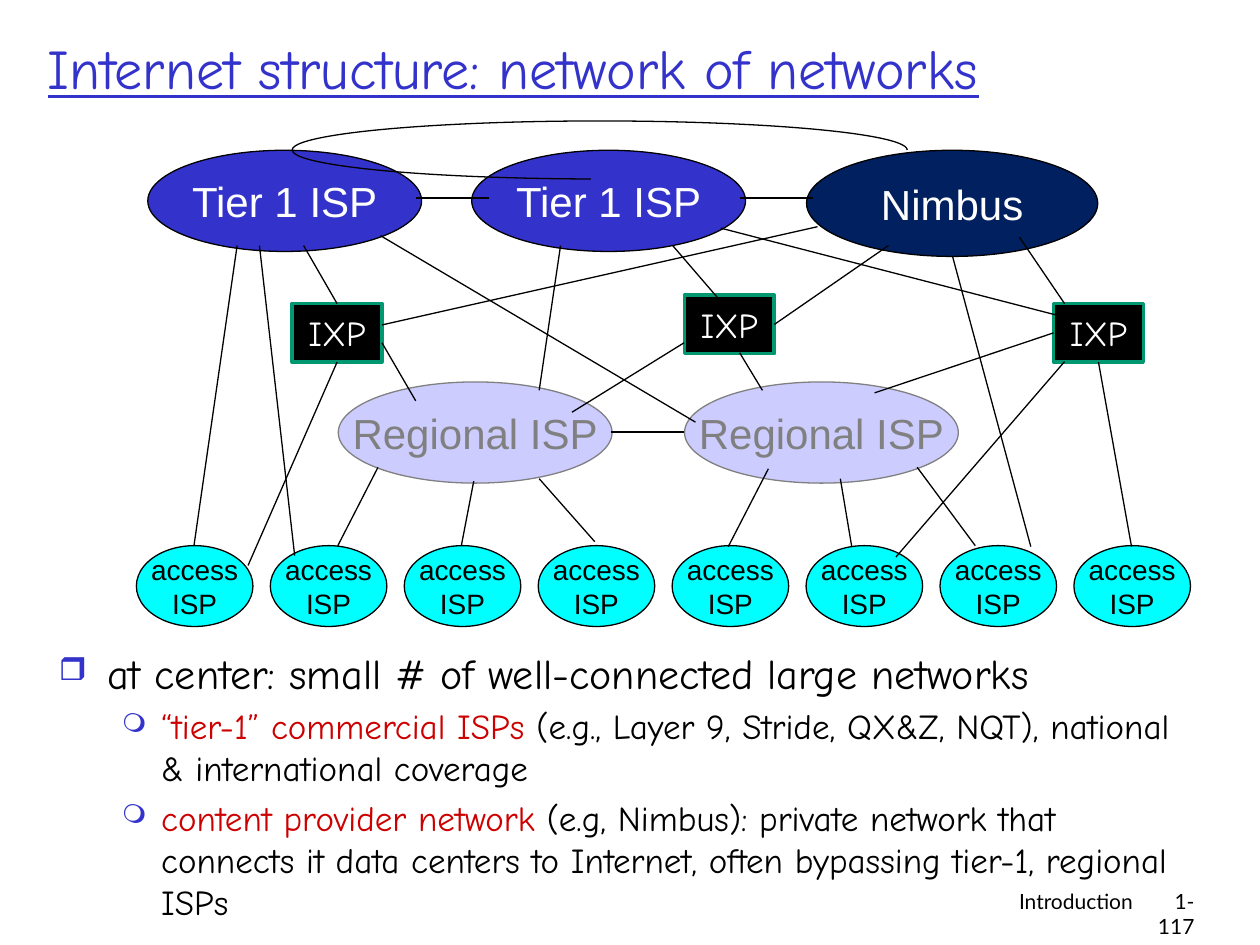
from typing import NamedTuple, Optional

from lxml import etree
from pptx import Presentation
from pptx.dml.color import RGBColor
from pptx.enum.shapes import MSO_CONNECTOR, MSO_SHAPE
from pptx.enum.text import MSO_ANCHOR, PP_ALIGN
from pptx.oxml.ns import qn
from pptx.util import Cm, Pt

OVAL, RECT, ARC = MSO_SHAPE.OVAL, MSO_SHAPE.RECTANGLE, MSO_SHAPE.ARC
STRAIGHT = MSO_CONNECTOR.STRAIGHT
MIDDLE, TOP_ANCHOR = MSO_ANCHOR.MIDDLE, MSO_ANCHOR.TOP
LEFT_ALIGN, CENTER, RIGHT_ALIGN = PP_ALIGN.LEFT, PP_ALIGN.CENTER, PP_ALIGN.RIGHT
TOP, LEFT, BOTTOM, RIGHT = range(4)
SANS, HAND, FOOT = "Arial", "Comic Neue", "Lato"

COLORS = {
    "black": "000000", "white": "FFFFFF", "blue": "3333CC", "navy": "002060",
    "cyan": "00FFFF", "lilac": "CCCCFF", "gray": "808080", "green": "009771",
    "red": "CC0000",
}


class Style(NamedTuple):
    shape: int
    width: float
    height: float
    fill: str
    line: str
    color: str
    size: int
    font: str = SANS
    weight: float = 0.75


class Node(NamedTuple):
    name: str
    text: str
    x: float
    y: float
    style: Style


class Link(NamedTuple):
    x1: float
    y1: float
    x2: float
    y2: float
    begin: Optional[tuple] = None
    end: Optional[tuple] = None


class Bullet(NamedTuple):
    mark: str
    margin: float
    hanging: float
    size: int
    before: float
    phrases: tuple


ACCESS = Style(OVAL, 2.35, 1.63, "cyan", "black", "black", 16)
REGIONAL = Style(OVAL, 5.52, 2.04, "lilac", "gray", "gray", 24)
TIER1 = Style(OVAL, 5.52, 2.04, "blue", "black", "white", 24)
PROVIDER = Style(OVAL, 5.87, 2.14, "navy", "black", "white", 24)
IXP = Style(RECT, 1.81, 1.18, "black", "green", "white", 20, HAND, 2)

NODES = [Node(f"access{i}", "access\nISP", 2.75 + 2.7 * i, 11, ACCESS) for i in range(8)] + [
    Node("regional0", "Regional ISP", 6.82, 7.7, REGIONAL),
    Node("regional1", "Regional ISP", 13.8, 7.7, REGIONAL),
    Node("ixp0", "IXP", 5.89, 6.12, IXP),
    Node("ixp1", "IXP", 13.8, 5.95, IXP),
    Node("ixp2", "IXP", 21.24, 6.12, IXP),
    Node("tier0", "Tier 1 ISP", 2.98, 3.03, TIER1),
    Node("tier1", "Tier 1 ISP", 9.51, 3.03, TIER1),
    Node("provider", "Nimbus", 16.26, 3.03, PROVIDER),
]

LINKS = [
    # Between networks of the same kind
    Link(9.86, 3.99, 8.38, 3.99),
    Link(16.38, 3.99, 14.91, 3.99),
    Link(13.79, 8.71, 12.32, 8.71),
    # From the top row to access networks
    Link(4.78, 4.95, 3.91, 11),
    Link(5.23, 4.95, 5.94, 11.2),
    Link(19.2, 5.16, 20.78, 11.02),
    # From the top row to regional networks
    Link(11.3, 4.95, 10.87, 7.87),
    Link(7.67, 4.75, 14.02, 8.51),
    # From the top row to exchange points
    Link(6.12, 4.95, 6.81, 6.12, end=("ixp0", TOP)),
    Link(16.48, 4.57, 7.7, 6.55),
    Link(13.56, 4.95, 14.68, 6.25),
    Link(17.91, 4.95, 15.6, 6.53, end=("ixp1", RIGHT)),
    Link(14.53, 4.6, 21.29, 6.35),
    Link(20.55, 4.78, 21.46, 6.12),
    # From exchange points downwards
    Link(6.81, 7.29, 5, 11.4, begin=("ixp0", BOTTOM)),
    Link(7.7, 6.91, 8.38, 8.08),
    Link(13.79, 6.91, 11.53, 8.31),
    Link(14.91, 7.11, 15.37, 7.87),
    Link(21.23, 6.71, 17.63, 7.92, begin=("ixp2", LEFT)),
    Link(21.46, 7.29, 18.06, 11.23),
    Link(22.12, 7.29, 22.81, 11.02, begin=("ixp2", BOTTOM)),
    # From regional to access networks
    Link(7.62, 9.42, 6.81, 11),
    Link(9.55, 9.7, 9.3, 11),
    Link(10.87, 9.65, 11.99, 10.92),
    Link(15.49, 9.45, 14.68, 11.02),
    Link(16.94, 9.65, 17.17, 11.02),
    Link(18.49, 9.42, 19.66, 11),
]

BULLETS = [
    Bullet("❒", 0.97, 0.97, 24, 0, (
        ("at center: small # of well-connected large networks", "black"),)),
    Bullet("❍", 2.06, 0.79, 20, 4, (
        ("“tier-1” commercial ISPs ", "red"),
        ("(e.g., Layer 9, Stride, QX&Z, NQT), national & international coverage", "black"))),
    Bullet("❍", 2.06, 0.79, 20, 4, (
        ("content provider network ", "red"),
        ("(e.g, Nimbus): private network that connects it data centers to Internet, "
         "often bypassing tier-1, regional ISPs", "black"))),
]


def rgb(name: str) -> RGBColor:
    return RGBColor.from_string(COLORS[name])


def add_text(p, text: str, *, size: int, font: str, color: str = "black",
             underline: bool = False, align: int = LEFT_ALIGN) -> None:
    p.alignment = align
    r = p.add_run()
    r.text = text
    r.font.size, r.font.name = Pt(size), font
    r.font.color.rgb = rgb(color)
    if underline:
        r.font.underline = True


def add_box(s, x: float, y: float, w: float, h: float, anchor: int = TOP_ANCHOR):
    tf = s.shapes.add_textbox(Cm(x), Cm(y), Cm(w), Cm(h)).text_frame
    tf.word_wrap = True
    tf.vertical_anchor = anchor
    return tf


def add_node(s, node: Node):
    st = node.style
    sp = s.shapes.add_shape(st.shape, Cm(node.x), Cm(node.y), Cm(st.width), Cm(st.height))
    sp.shadow.inherit = False
    sp.fill.solid()
    sp.fill.fore_color.rgb = rgb(st.fill)
    sp.line.color.rgb = rgb(st.line)
    sp.line.width = Pt(st.weight)
    tf = sp.text_frame
    tf.word_wrap = st.shape == RECT
    tf.vertical_anchor = MIDDLE
    for i, text in enumerate(node.text.split("\n")):
        p = tf.add_paragraph() if i else tf.paragraphs[0]
        add_text(p, text, size=st.size, font=st.font, color=st.color, align=CENTER)
    return sp


def add_link(s, link: Link, shapes: dict) -> None:
    c = s.shapes.add_connector(STRAIGHT, Cm(link.x1), Cm(link.y1), Cm(link.x2), Cm(link.y2))
    if link.begin:
        c.begin_connect(shapes[link.begin[0]], link.begin[1])
    if link.end:
        c.end_connect(shapes[link.end[0]], link.end[1])
    c.line.color.rgb = rgb("black")
    c.line.width = Pt(0.75)
    etree.SubElement(c._element.spPr, qn("a:effectLst"))


def add_arc(s) -> None:
    sp = s.shapes.add_shape(ARC, Cm(5.89), Cm(2.44), Cm(12.4), Cm(1.17))
    sp.adjustments[0], sp.adjustments[1] = 64.09, 0
    sp.shadow.inherit = False
    sp.fill.background()
    sp.line.color.rgb = rgb("black")
    sp.line.width = Pt(0.75)


def add_bullet(p, b: Bullet) -> None:
    pPr = p._p.get_or_add_pPr()
    pPr.set("marL", str(Cm(b.margin)))
    pPr.set("indent", str(-Cm(b.hanging)))
    clr = etree.SubElement(pPr, qn("a:buClr"))
    etree.SubElement(clr, qn("a:srgbClr"), val=COLORS["blue"])
    etree.SubElement(pPr, qn("a:buSzPct"), val="75000")
    etree.SubElement(pPr, qn("a:buChar"), char=b.mark)
    p.space_before = Pt(b.before)
    for text, color in b.phrases:
        add_text(p, text, size=b.size, font=HAND, color=color)


def main() -> None:
    prs = Presentation()
    prs.slide_width, prs.slide_height = Cm(25.4), Cm(19.05)
    s = prs.slides.add_slide(prs.slide_layouts[6])

    # Title
    tf = add_box(s, 0.71, 0.46, 22.48, 1.8, MIDDLE)
    add_text(tf.paragraphs[0], "Internet structure: network of networks",
             size=32, font=HAND, color="blue", underline=True)

    # Network diagram
    shapes = {node.name: add_node(s, node) for node in NODES}
    add_arc(s)
    for link in LINKS:
        add_link(s, link, shapes)

    # Explanation
    tf = add_box(s, 0.94, 12.93, 23.44, 5.2)
    for i, b in enumerate(BULLETS):
        add_bullet(tf.add_paragraph() if i else tf.paragraphs[0], b)

    # Footer
    for text, x, w in (("Introduction", 15.04, 8.05), ("1-117", 23.06, 1.27)):
        tf = add_box(s, x, 17.78, w, 1.27)
        add_text(tf.paragraphs[0], text, size=12, font=FOOT, align=RIGHT_ALIGN)

    prs.save("out.pptx")


if __name__ == "__main__":
    main()
